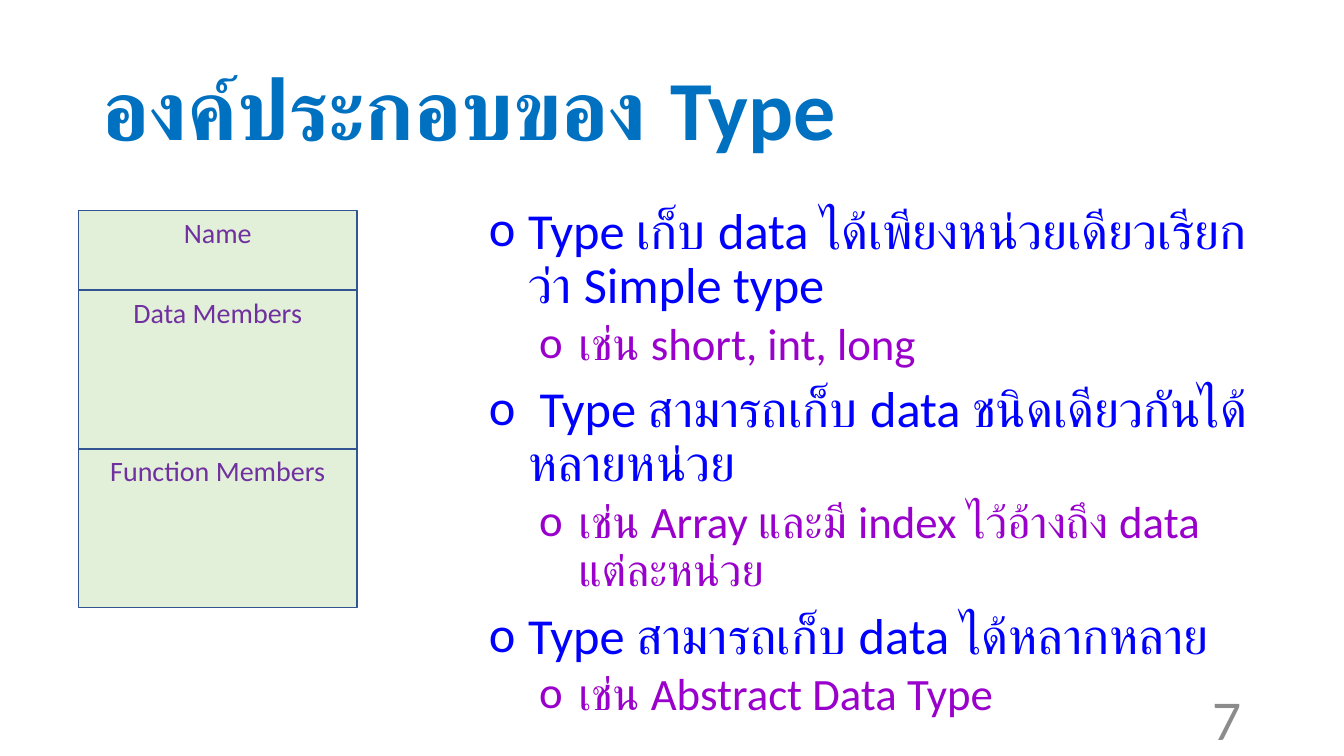
from dataclasses import dataclass

from lxml import etree
from pptx import Presentation
from pptx.dml.color import RGBColor
from pptx.enum.lang import MSO_LANGUAGE_ID
from pptx.enum.shapes import MSO_SHAPE
from pptx.enum.text import MSO_ANCHOR, MSO_AUTO_SIZE, PP_ALIGN
from pptx.oxml.ns import qn
from pptx.util import Inches, Pt

RECT = MSO_SHAPE.RECTANGLE
TOP, MIDDLE = MSO_ANCHOR.TOP, MSO_ANCHOR.MIDDLE
LEFT, CENTER, RIGHT = PP_ALIGN.LEFT, PP_ALIGN.CENTER, PP_ALIGN.RIGHT
NO_FIT = MSO_AUTO_SIZE.NONE
THAI = MSO_LANGUAGE_ID.THAI
TITLE_ONLY = 5


@dataclass(frozen=True)
class Theme:
    """Colours, fonts and type sizes of the slide."""
    font: str = "Calibri"
    number_font: str = "Lato"
    title: str = "0070C0"
    point: str = "0000FF"
    example: str = "9900CC"
    number: str = "8C8C8C"
    label: str = "7030A0"
    box_fill: str = "E2F0D9"
    box_line: str = "325491"
    title_size: int = 60
    point_size: int = 36
    example_size: int = 32
    label_size: int = 20


THEME = Theme()

# Per level: text format, left indent (inches), space before (points)
LEVELS = [
    (dict(size=THEME.point_size, color=THEME.point), 0.39, 10),
    (dict(size=THEME.example_size, color=THEME.example), 0.89, 5),
]
HANGING = 0.39

POINTS = [
    (0, "Type เก็บ data ได้เพียงหน่วยเดียวเรียกว่า Simple type"),
    (1, "เช่น short, int, long"),
    (0, " Type สามารถเก็บ data ชนิดเดียวกันได้หลายหน่วย"),
    (1, "เช่น Array และมี index ไว้อ้างถึง data แต่ละหน่วย"),
    (0, "Type สามารถเก็บ data ได้หลากหลาย"),
    (1, "เช่น Abstract Data Type"),
]

# Compartment name and its height in units
COMPARTMENTS = [("Name", 1), ("Data Members", 2), ("Function Members", 2)]


def rgb(value):
    """Turn a hex string into a colour."""
    return RGBColor.from_string(value)


def set_frame(tf, anchor):
    """Make a text frame wrap at a fixed size."""
    formats = dict(word_wrap=True, auto_size=NO_FIT, vertical_anchor=anchor)
    for name, value in formats.items():
        setattr(tf, name, value)


def write(p, text, size, color, font=THEME.font, bold=False, **formats):
    """Put one formatted run in a paragraph."""
    for name, value in formats.items():
        setattr(p, name, value)
    r = p.add_run()
    r.text = text
    run_formats = dict(size=Pt(size), name=font, bold=bold, language_id=THAI)
    for name, value in run_formats.items():
        setattr(r.font, name, value)
    r.font.color.rgb = rgb(color)


def add_bullet(p, indent):
    """Give a paragraph a hanging "o" bullet."""
    pPr = p._p.get_or_add_pPr()
    pPr.set("marL", str(Inches(indent)))
    pPr.set("indent", str(-Inches(HANGING)))
    etree.SubElement(pPr, qn("a:buFont")).set("typeface", THEME.font)
    etree.SubElement(pPr, qn("a:buChar")).set("char", "o")


def add_title(s, text, box):
    """Place and format the title placeholder."""
    sp = s.shapes.title
    sp.left, sp.top, sp.width, sp.height = map(Inches, box)
    set_frame(sp.text_frame, MIDDLE)
    write(sp.text_frame.paragraphs[0], text, THEME.title_size, THEME.title,
          bold=True, alignment=LEFT, line_spacing=0.9)


def add_type_diagram(s, box):
    """Stack the compartments of a type in the box."""
    left, top, width, height = box
    unit = height / sum(units for _, units in COMPARTMENTS)
    group = s.shapes.add_group_shape()
    for name, units in COMPARTMENTS:
        sp = group.shapes.add_shape(
            RECT, *map(Inches, (left, top, width, units * unit)))
        sp.shadow.inherit = False
        sp.fill.solid()
        sp.fill.fore_color.rgb = rgb(THEME.box_fill)
        sp.line.color.rgb = rgb(THEME.box_line)
        sp.line.width = Pt(1)
        set_frame(sp.text_frame, TOP)
        write(sp.text_frame.paragraphs[0], name, THEME.label_size,
              THEME.label, alignment=CENTER)
        top += units * unit


def add_points(s, box):
    """List the points and their examples."""
    tf = s.shapes.add_textbox(*map(Inches, box)).text_frame
    set_frame(tf, TOP)
    for i, (level, text) in enumerate(POINTS):
        p = tf.add_paragraph() if i else tf.paragraphs[0]
        style, indent, before = LEVELS[level]
        write(p, text, level=level, line_spacing=0.9,
              space_before=Pt(before), **style)
        add_bullet(p, indent)


def add_slide_number(s, text, box):
    """Place the slide number at the lower right."""
    tf = s.shapes.add_textbox(*map(Inches, box)).text_frame
    set_frame(tf, MIDDLE)
    write(tf.paragraphs[0], text, THEME.point_size, THEME.number,
          font=THEME.number_font, alignment=RIGHT)


def build_type_slide(prs):
    """Build the slide on the components of a type."""
    s = prs.slides.add_slide(prs.slide_layouts[TITLE_ONLY])
    add_title(s, "องค์ประกอบของ Type", (0.92, 0.4, 11.5, 1.45))
    add_points(s, (4.75, 1.99, 8.13, 4.76))
    add_slide_number(s, "7", (9.41, 6.95, 3, 0.4))
    add_type_diagram(s, (0.78, 2.09, 2.76, 3.94))


prs = Presentation()
prs.slide_width, prs.slide_height = Inches(13.33), Inches(7.5)
build_type_slide(prs)
prs.save("out.pptx")
